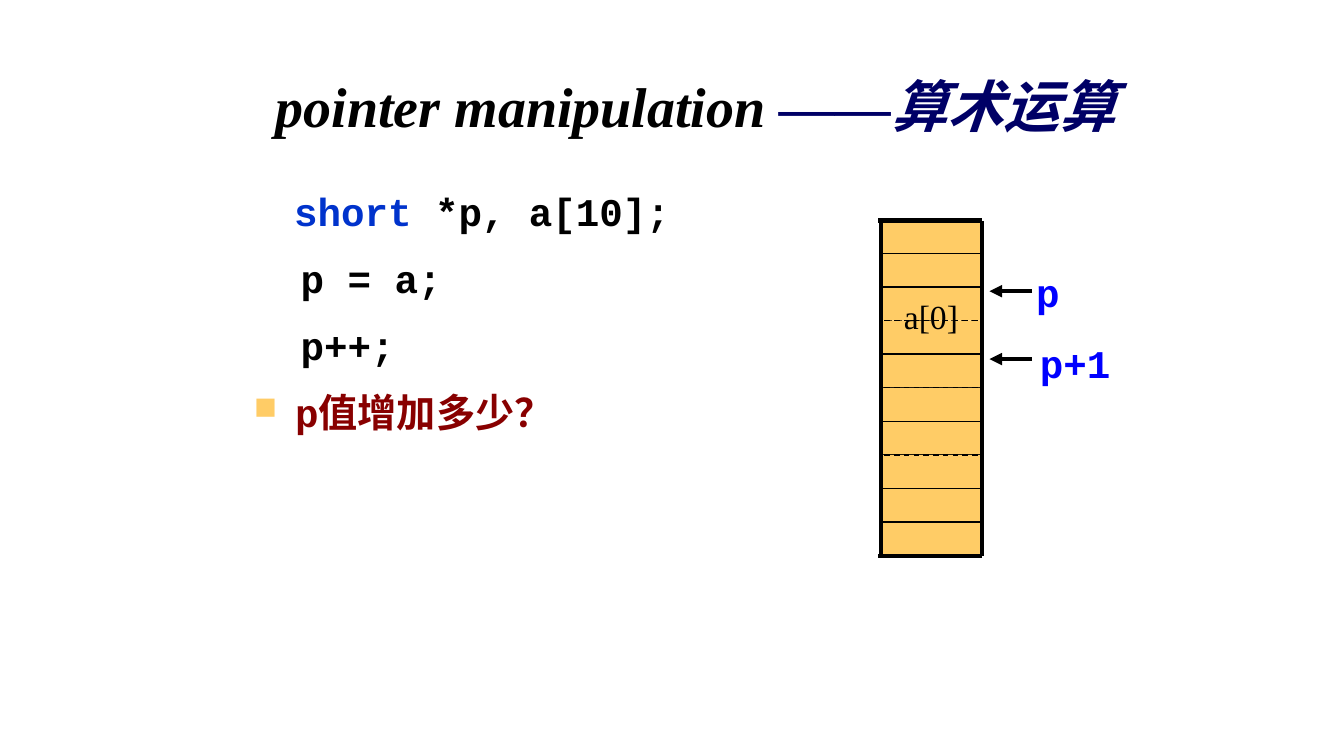
from dataclasses import dataclass, field
from typing import Any

from lxml import etree
from pptx import Presentation
from pptx.dml.color import RGBColor
from pptx.enum.dml import MSO_LINE
from pptx.enum.shapes import MSO_CONNECTOR, MSO_SHAPE
from pptx.enum.text import MSO_ANCHOR, PP_ALIGN
from pptx.oxml.ns import qn
from pptx.util import Pt

BLACK = RGBColor(0x00, 0x00, 0x00)
NAVY = RGBColor(0x00, 0x00, 0x66)
BLUE = RGBColor(0x00, 0x00, 0xFF)
ROYAL = RGBColor(0x00, 0x33, 0xCC)
RED = RGBColor(0x88, 0x00, 0x00)
GOLD = RGBColor(0xFF, 0xCC, 0x66)
RECT = MSO_SHAPE.RECTANGLE
LINE = MSO_CONNECTOR.STRAIGHT
DASH = MSO_LINE.DASH
SOLID = MSO_LINE.SOLID
TOP = MSO_ANCHOR.TOP
MIDDLE = MSO_ANCHOR.MIDDLE
LEFT = PP_ALIGN.LEFT
CENTER = PP_ALIGN.CENTER

TIMES = {"name": "Times New Roman", "bold": False}
CODE = {"name": "Courier New", "size": Pt(28), "bold": True}
HEAD = {"name": "Times New Roman", "size": Pt(40), "bold": True, "italic": True}


@dataclass
class Run:
    text: str
    color: RGBColor
    style: dict[str, Any]
    shade: bool = False


@dataclass
class Para:
    runs: list[Run]
    style: dict[str, Any] = field(default_factory=dict)
    hang: float = 0
    bullet: str = ""


@dataclass
class Box:
    left: float
    top: float
    width: float
    height: float
    paras: list[Para]
    inset: float = 3.6
    anchor: MSO_ANCHOR = TOP


@dataclass
class Stroke:
    x1: float
    y1: float
    x2: float
    y2: float
    arrow: bool = False


def set_all(target: Any, values: dict[str, Any]) -> None:
    for key, value in values.items():
        setattr(target, key, value)


def add_shade(run: Any) -> None:
    fill = run.font._element.find(qn("a:solidFill"))
    group = etree.Element(qn("a:effectLst"))
    shade = etree.SubElement(group, qn("a:outerShdw"), dist="35921", dir="2700000")
    etree.SubElement(shade, qn("a:srgbClr"), val="000000")
    fill.addnext(group)


def add_bullet(para: Any, item: Para) -> None:
    props = para._p.get_or_add_pPr()
    props.set("marL", str(Pt(item.hang)))
    props.set("indent", str(-Pt(item.hang)))
    if item.bullet:
        color = etree.SubElement(props, qn("a:buClr"))
        etree.SubElement(color, qn("a:srgbClr"), val=str(GOLD))
        etree.SubElement(props, qn("a:buSzPct"), val="80000")
        etree.SubElement(props, qn("a:buChar"), char=item.bullet)
    else:
        etree.SubElement(props, qn("a:buNone"))


def draw_box(shapes: Any, box: Box) -> None:
    shape = shapes.add_textbox(Pt(box.left), Pt(box.top), Pt(box.width), Pt(box.height))
    frame = shape.text_frame
    set_all(frame, {"word_wrap": True, "margin_left": Pt(7.2), "margin_right": Pt(7.2),
                    "margin_top": Pt(box.inset), "margin_bottom": Pt(3.6),
                    "vertical_anchor": box.anchor})
    for index, item in enumerate(box.paras):
        para = frame.add_paragraph() if index else frame.paragraphs[0]
        add_bullet(para, item)
        set_all(para, {"alignment": LEFT} | item.style)
        for part in item.runs:
            run = para.add_run()
            run.text = part.text
            set_all(run.font, part.style)
            run.font.color.rgb = part.color
            if part.shade:
                add_shade(run)


def draw_cell(shapes: Any, left: float, top: float, width: float, height: float,
              dashed: bool) -> None:
    cell = shapes.add_shape(RECT, Pt(left), Pt(top), Pt(width), Pt(height))
    cell.shadow.inherit = False
    cell.fill.solid()
    cell.fill.fore_color.rgb = GOLD
    cell.line.color.rgb = BLACK
    set_all(cell.line, {"width": Pt(1), "dash_style": DASH if dashed else SOLID})


def draw_stroke(shapes: Any, stroke: Stroke) -> None:
    line = shapes.add_connector(LINE, Pt(stroke.x1), Pt(stroke.y1),
                                Pt(stroke.x2), Pt(stroke.y2))
    line.line.color.rgb = BLACK
    line.line.width = Pt(3)
    if stroke.arrow:
        etree.SubElement(line.line._get_or_add_ln(), qn("a:tailEnd"), type="triangle")
    etree.SubElement(line._element.spPr, qn("a:effectLst"))


def code_para(runs: list[Run], first: bool = False, bullet: str = "") -> Para:
    space = Pt(0) if first else Pt(7.5)
    return Para(runs, {"line_spacing": 1.2, "space_before": space}, 29.5, bullet)


def label(text: str, left: float, top: float, width: float) -> Box:
    return Box(left, top, width, 41, [Para([Run(text, BLUE, CODE)])], 9)


def main() -> None:
    deck = Presentation()
    set_all(deck, {"slide_width": Pt(960), "slide_height": Pt(540)})
    shapes = deck.slides.add_slide(deck.slide_layouts[6]).shapes

    title = Para([Run("pointer manipulation ", BLACK, HEAD, True),
                  Run("——", NAVY, HEAD, True),
                  Run("算术运算", NAVY, HEAD | {"name": "Courier New"}, True)],
                 {"alignment": CENTER, "line_spacing": 0.85})
    draw_box(shapes, Box(173.5, 45.4, 646.6, 66.2, [title], anchor=MIDDLE))

    body = [
        code_para([Run("  ", BLUE, CODE | {"size": Pt(24)}),
                   Run("short", ROYAL, CODE),
                   Run(" *p, a[10];", BLACK, CODE)], first=True),
        code_para([Run("  p = a;", BLACK, CODE)]),
        code_para([Run("  p++;", BLACK, CODE)]),
        code_para([Run("p", RED, CODE),
                   Run("值增加多少？", RED, CODE | {"name": "Times New Roman"})],
                  bullet="■"),
    ]
    draw_box(shapes, Box(174.2, 116.6, 419, 403.2, body, 10.5))

    left, top, width, height = 629.3, 157, 72, 24
    right, base, edge = left + width, top + 10 * height, left - 2
    for row in [*range(2, 10), 1, 0]:
        draw_cell(shapes, left, top + row * height, width, height, row in (2, 3, 5, 7))

    for stroke in (Stroke(left, top + 1, left, base),
                   Stroke(right, top + 1, right, base),
                   Stroke(edge, top + 0.5, right, top + 0.5),
                   Stroke(edge, base, right, base),
                   Stroke(737.3, 208, 706.8, 208, True),
                   Stroke(737.3, 256.5, 706.8, 256.5, True)):
        draw_stroke(shapes, stroke)

    first = Para([Run("a[0]", BLACK, TIMES | {"size": Pt(24)})])
    for box in (label("p", 733, 182.9, 54),
                label("p+1", 735.8, 233.3, 74.9),
                Box(638.6, 205.9, 67.7, 36, [first], 5.5)):
        draw_box(shapes, box)

    deck.save("out.pptx")


if __name__ == "__main__":
    main()
